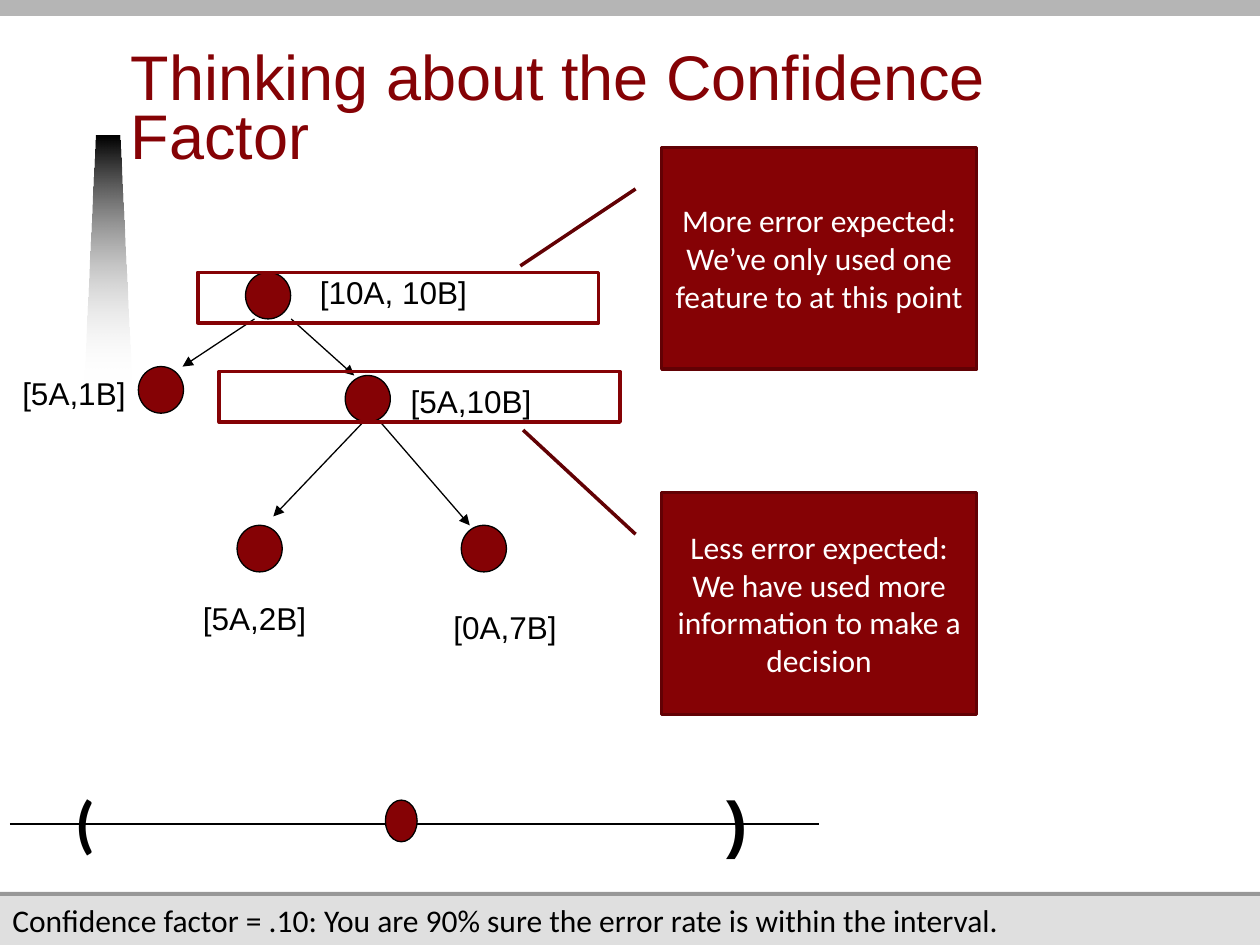
from lxml import etree
from pptx import Presentation
from pptx.dml.color import RGBColor
from pptx.enum.shapes import MSO_CONNECTOR, MSO_SHAPE
from pptx.enum.text import MSO_ANCHOR, MSO_AUTO_SIZE, PP_ALIGN
from pptx.oxml import parse_xml
from pptx.oxml.ns import qn
from pptx.util import Cm, Pt

COLORS = {
    "maroon": "850205", "dark_maroon": "620104", "black": "000000", "white": "FFFFFF",
    "footer": "DFDFDF", "rule": "989898", "top_bar": "B5B5B5",
}

prs = Presentation()
prs.slide_width, prs.slide_height = Cm(25.4), Cm(19.05)
slide = prs.slides.add_slide(prs.slide_layouts[5])
shapes = slide.shapes


def add_box(kind, box, fill=None, line=None, width=0.75):
    shape = shapes.add_shape(kind, *map(Cm, box))
    shape.shadow.inherit = False
    if fill:
        shape.fill.solid()
        shape.fill.fore_color.rgb = RGBColor.from_string(COLORS[fill])
    else:
        shape.fill.background()
    if line:
        shape.line.color.rgb = RGBColor.from_string(COLORS[line])
        shape.line.width = Pt(width)
    else:
        shape.line.fill.background()
    return shape


def write(shape, text, size=18, font="Arial", color="black", bold=False, wrap=True):
    frame = shape.text_frame
    frame.word_wrap = wrap
    frame.auto_size = MSO_AUTO_SIZE.NONE
    paragraph = frame.paragraphs[0]
    run = paragraph.add_run()
    run.text = text
    run.font.size = Pt(size)
    run.font.name = font
    run.font.bold = bold
    run.font.color.rgb = RGBColor.from_string(COLORS[color])
    return paragraph


bars = [
    ((0, 18.06, 25.4, 0.99), "footer"),
    ((0, 17.98, 25.4, 0.08), "rule"),
    ((0, 0, 25.4, 0.32), "top_bar"),
]
for box, color in bars:
    add_box(MSO_SHAPE.RECTANGLE, box, color)

builder = shapes.build_freeform(Cm(1.7), Cm(7.74), scale=1.0)
builder.add_line_segments(
    [(Cm(x), Cm(y)) for x, y in [(1.93, 2.74), (2.41, 2.74), (2.65, 7.74)]], close=True)
wedge = builder.convert_to_shape()
wedge.shadow.inherit = False
wedge.line.fill.background()
wedge.fill.gradient()
wedge_fill = wedge._element.spPr.find(qn("a:gradFill"))
wedge_fill.getparent().replace(wedge_fill, parse_xml(
    '<a:gradFill xmlns:a="http://schemas.openxmlformats.org/drawingml/2006/main"><a:gsLst>'
    f'<a:gs pos="0"><a:srgbClr val="{COLORS["black"]}"/></a:gs>'
    f'<a:gs pos="100000"><a:srgbClr val="{COLORS["white"]}"><a:alpha val="0"/></a:srgbClr></a:gs>'
    '</a:gsLst><a:lin ang="5400000" scaled="0"/></a:gradFill>'))

title = shapes.title
title.left, title.top, title.width, title.height = map(Cm, (2.64, 0.86, 17.45, 2.74))
heading = write(title, "Thinking about the Confidence Factor", 36, color="maroon")
heading.alignment = PP_ALIGN.LEFT
heading.line_spacing = Pt(34)
frame = title.text_frame
frame.vertical_anchor = MSO_ANCHOR.BOTTOM
frame.margin_left = frame.margin_right = frame.margin_top = 0
frame.margin_bottom = Cm(0.13)

tree_nodes = [(9.3, 10.59), (4.78, 10.59), (6.96, 7.57), (2.79, 7.39), (4.95, 5.49)]
for x, y in tree_nodes:
    add_box(MSO_SHAPE.OVAL, (x, y, 0.91, 0.94), "maroon", "black")

node_labels = [
    ("[10A, 10B]", 6.2, 5.38, 3.48),
    ("[5A,1B]", 0.2, 7.42, 2.59),
    ("[5A,2B]", 3.84, 11.96, 2.59),
    ("[0A,7B]", 8.89, 12.14, 2.59),
    ("[5A,10B]", 8.03, 7.57, 2.95),
]
for text, x, y, width in node_labels:
    label = shapes.add_textbox(Cm(x), Cm(y), Cm(width), Cm(1.02))
    write(label, text, wrap=False)

lines = [
    ((5.13, 6.43, 3.68, 7.39), True),
    ((5.87, 6.43, 7.14, 7.57), True),
    ((7.32, 8.51, 5.51, 10.41), True),
    ((7.67, 8.51, 9.47, 10.59), True),
    ((0.2, 16.61, 16.51, 16.61), False),
]
for ends, has_arrow in lines:
    connector = shapes.add_connector(MSO_CONNECTOR.STRAIGHT, *map(Cm, ends))
    connector.line.color.rgb = RGBColor.from_string(COLORS["black"])
    connector.line.width = Pt(0.75)
    if has_arrow:
        etree.SubElement(connector.line._get_or_add_ln(), qn("a:tailEnd"), type="triangle")
    etree.SubElement(connector._element.spPr, qn("a:effectLst"))

add_box(MSO_SHAPE.OVAL, (7.77, 16.13, 0.64, 0.84), "maroon", "black")

for text, x, width, font in [("(", 1.27, 0.94, "Calibri"), (")", 14.4, 1.09, "Arial")]:
    bracket = shapes.add_textbox(Cm(x), Cm(15.67), Cm(width), Cm(1.78))
    write(bracket, text, 36, font, bold=True, wrap=False)

caption = shapes.add_textbox(Cm(0), Cm(18.03), Cm(22.4), Cm(1.02))
write(caption, "Confidence factor = .10: You are 90% sure the error rate is within the interval.",
      font="Calibri")

callouts = [
    ("More error expected: We’ve only used one feature to at this point ",
     (3.99, 5.49), 2.97, (0.188, -0.083, 0.535, -0.449)),
    ("Less error expected: We have used more information to make a decision",
     (4.42, 7.49), 9.93, (0.188, -0.083, -0.282, -0.44)),
]
for text, highlight, top, pointer in callouts:
    add_box(MSO_SHAPE.RECTANGLE, (*highlight, 8.08, 1.02), line="maroon", width=2)
    callout = add_box(MSO_SHAPE.LINE_CALLOUT_1, (13.34, top, 6.35, 4.47),
                      "maroon", "dark_maroon", 2)
    for index, value in enumerate(pointer):
        callout.adjustments[index] = value
    write(callout, text, font="Calibri", color="white").alignment = PP_ALIGN.CENTER
    callout.text_frame.vertical_anchor = MSO_ANCHOR.MIDDLE

prs.save("out.pptx")
